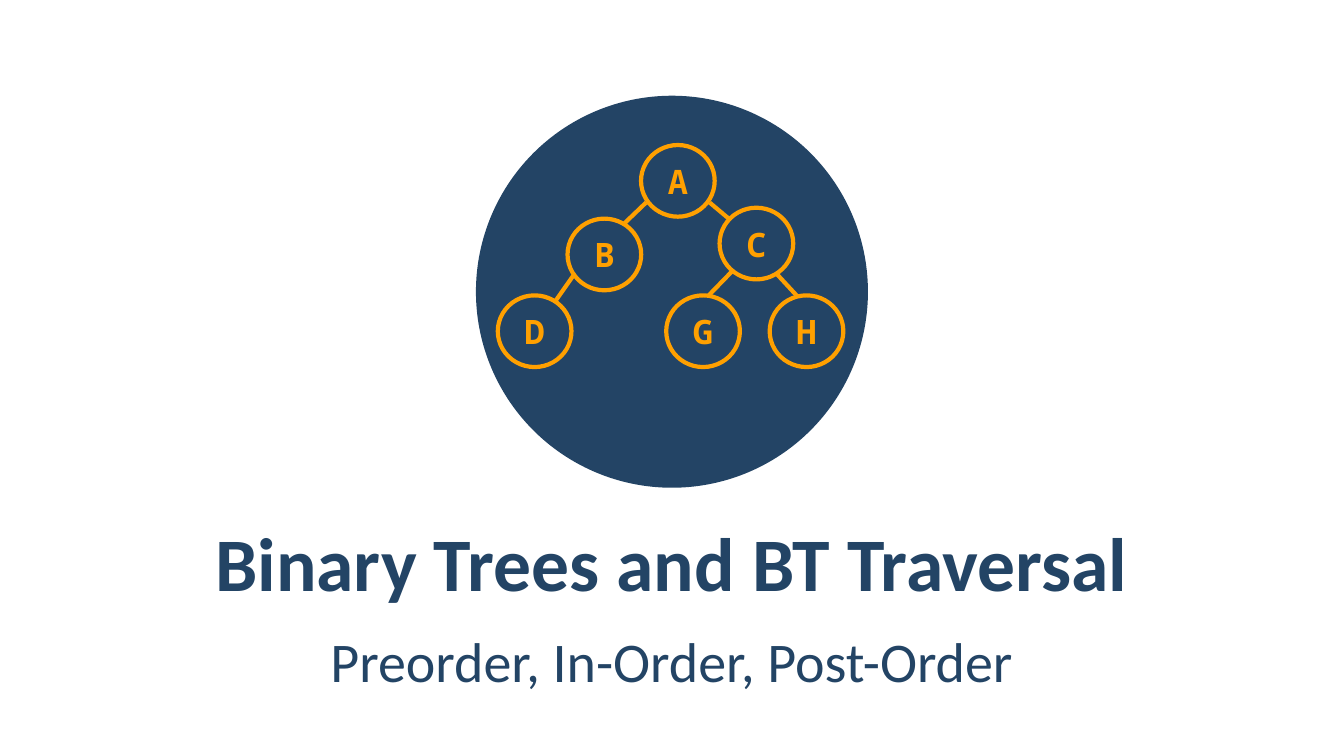
from lxml import etree
from pptx import Presentation
from pptx.dml.color import RGBColor
from pptx.enum.shapes import MSO_CONNECTOR, MSO_SHAPE
from pptx.enum.text import MSO_ANCHOR, MSO_AUTO_SIZE, PP_ALIGN
from pptx.oxml.ns import qn
from pptx.util import Pt

OVAL = MSO_SHAPE.OVAL
STRAIGHT = MSO_CONNECTOR.STRAIGHT
MIDDLE = MSO_ANCHOR.MIDDLE
NO_AUTOFIT = MSO_AUTO_SIZE.NONE
CENTER = PP_ALIGN.CENTER

NAVY = RGBColor(0x23, 0x44, 0x65)
AMBER = RGBColor(0xFF, 0xA0, 0x00)

NODE_W, NODE_H = 52.6, 51.2
LEAF_TOP = 211
# Left and top of each tree node
NODES = {
    "A": (457.9, 103.6),
    "B": (405.4, 156.2),
    "C": (514, 148.4),
    "D": (355.6, LEAF_TOP),
    "G": (475.9, LEAF_TOP),
    "H": (549.8, LEAF_TOP),
}
# Start x, y and end x, y of each branch; the nodes cover the ends
BRANCHES = [
    (461.5, 144.7, 442, 163.4),   # A to B
    (506.9, 144.7, 520.6, 156.2),  # A to C
    (409.7, 196.6, 389.5, 225.4),  # B to D
    (532.8, 183.6, 487.4, 230.4),  # C to G
    (544.3, 184.3, 588.2, 231.8),  # C to H
]


def format_text(tf, size, font, color, bold):
    tf.vertical_anchor = MIDDLE
    p = tf.paragraphs[0]
    p.alignment = CENTER
    f = p.runs[0].font
    f.size, f.name, f.bold = Pt(size), font, bold
    f.color.rgb = color
    return p


def fill_placeholder(sp, text, top, size, bold):
    sp.left, sp.top, sp.width, sp.height = Pt(48), Pt(top), Pt(863.6), Pt(60.5)
    tf = sp.text_frame
    tf.text = text
    tf.auto_size = NO_AUTOFIT
    tf.margin_left = tf.margin_right = Pt(8.64)
    tf.margin_top = tf.margin_bottom = Pt(2.88)
    return format_text(tf, size, "Calibri", NAVY, bold)


def add_circle(s, left, top, width, height):
    sp = s.shapes.add_shape(OVAL, Pt(left), Pt(top), Pt(width), Pt(height))
    sp.shadow.inherit = False
    sp.fill.solid()
    sp.fill.fore_color.rgb = NAVY
    return sp


def set_stroke(line):
    line.color.rgb = AMBER
    line.width = Pt(3)


def add_branch(s, x1, y1, x2, y2):
    line = s.shapes.add_connector(STRAIGHT, Pt(x1), Pt(y1), Pt(x2), Pt(y2))
    set_stroke(line.line)
    etree.SubElement(line._element.spPr, qn("a:effectLst"))


def add_node(s, label, left, top):
    sp = add_circle(s, left, top, NODE_W, NODE_H)
    set_stroke(sp.line)
    tf = sp.text_frame
    tf.text = label
    tf.word_wrap = False
    format_text(tf, 24, "Noto Sans Mono", AMBER, True)


def main():
    prs = Presentation()
    prs.slide_width, prs.slide_height = Pt(960), Pt(540)
    s = prs.slides.add_slide(prs.slide_layouts[0])

    fill_placeholder(s.shapes.title, "Binary Trees and BT Traversal", 370.8, 54, True)
    p = fill_placeholder(s.placeholders[1], "Preorder, In-Order, Post-Order", 440, 40, False)
    p.line_spacing = 1.05
    p.space_before = Pt(0)

    disc = add_circle(s, 340, 68.4, 280, 280)
    disc.line.fill.background()
    for branch in BRANCHES:
        add_branch(s, *branch)
    for label, (left, top) in NODES.items():
        add_node(s, label, left, top)

    prs.save("out.pptx")


if __name__ == "__main__":
    main()
